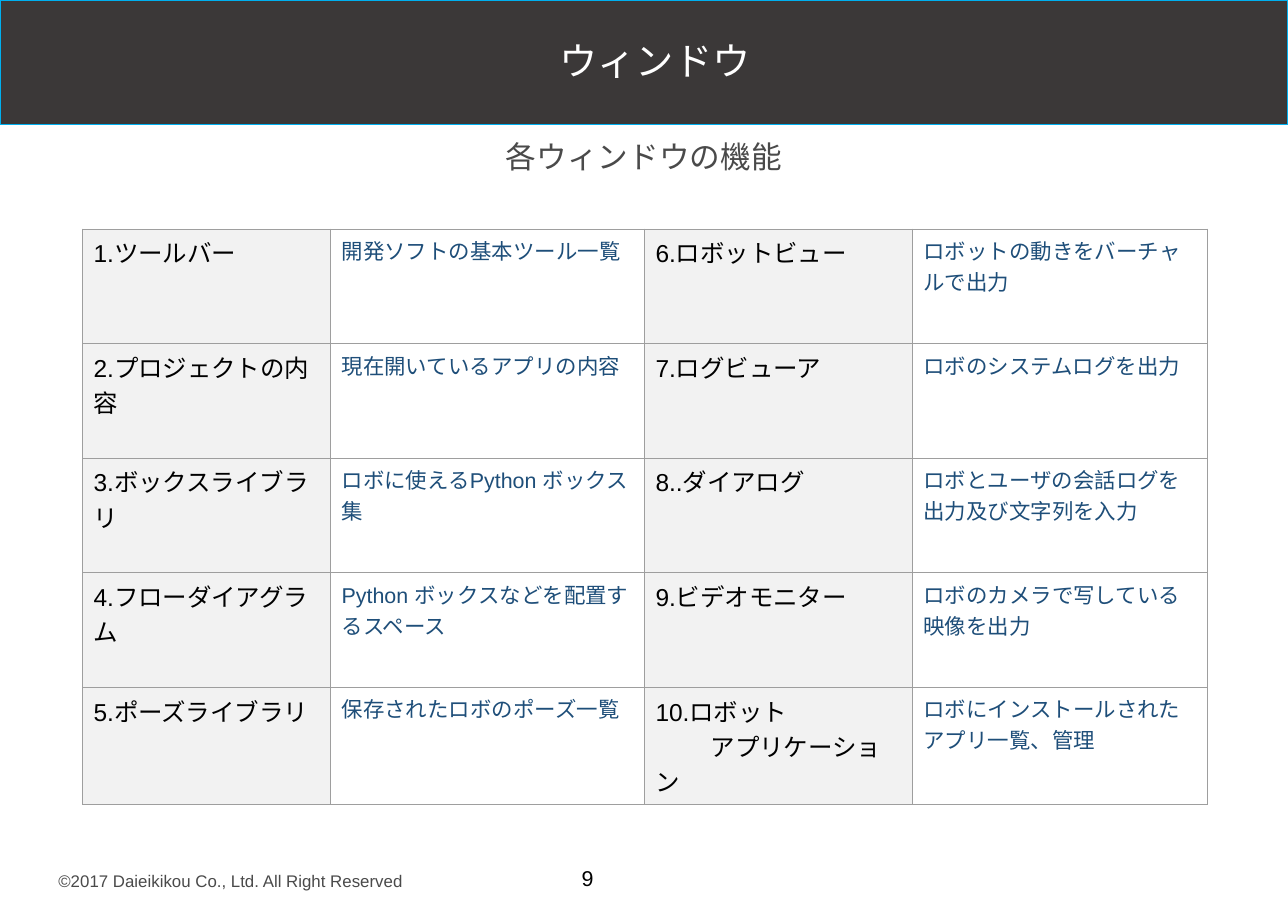
from lxml.etree import SubElement
from pptx import Presentation
from pptx.dml.color import RGBColor
from pptx.enum.shapes import MSO_SHAPE
from pptx.enum.text import MSO_ANCHOR, MSO_AUTO_SIZE, PP_ALIGN
from pptx.oxml import parse_xml
from pptx.oxml.ns import nsdecls, qn
from pptx.util import Pt

COLORS = {
    "band": "3B3838", "band_edge": "00B0F0", "white": "FFFFFF",
    "gray": "4A4A4A", "black": "000000", "blue": "1E4E79",
    "name_fill": "F2F2F2", "border": "9E9E9E",
}
LATIN = "Arial"
JAPANESE = "Noto Sans CJK JP"
SLIDE_SIZE = (841.68, 595.44)
COLUMN_WIDTHS = (162, 205.2, 174.96, 192.96)
ROW_HEIGHT = 74.88
SECOND_LINE_INDENT = 36
WINDOWS = [
    ("1.ツールバー", "開発ソフトの基本ツール一覧",
     "6.ロボットビュー", "ロボットの動きをバーチャルで出力"),
    ("2.プロジェクトの内容", "現在開いているアプリの内容",
     "7.ログビューア", "ロボのシステムログを出力"),
    ("3.ボックスライブラリ", "ロボに使えるPython ボックス集",
     "8..ダイアログ", "ロボとユーザの会話ログを出力及び文字列を入力"),
    ("4.フローダイアグラム", "Python ボックスなどを配置するスペース",
     "9.ビデオモニター", "ロボのカメラで写している映像を出力"),
    ("5.ポーズライブラリ", "保存されたロボのポーズ一覧",
     "10.ロボット\nアプリケーション", "ロボにインストールされたアプリ一覧、管理"),
]


def rgb(name):
    return RGBColor.from_string(COLORS[name])


def style_text(frame, size, color, latin=LATIN):
    for paragraph in frame.paragraphs:
        for run in paragraph.runs:
            run.font.size = Pt(size)
            run.font.color.rgb = rgb(color)
            run.font.name = latin
            SubElement(run.font._element, qn("a:ea"), typeface=JAPANESE)


def set_frame(frame, text, margin_x, margin_y, anchor):
    frame.text = text
    frame.word_wrap = True
    frame.auto_size = MSO_AUTO_SIZE.NONE
    frame.vertical_anchor = anchor
    frame.margin_left = frame.margin_right = Pt(margin_x)
    frame.margin_top = frame.margin_bottom = Pt(margin_y)


def add_label(slide, box, text, margin_x, margin_y, anchor=MSO_ANCHOR.MIDDLE):
    frame = slide.shapes.add_textbox(*map(Pt, box)).text_frame
    set_frame(frame, text, margin_x, margin_y, anchor)
    return frame


def add_header(slide, box):
    left, top, width, height = box
    band = slide.shapes.add_shape(MSO_SHAPE.RECTANGLE, *map(Pt, box))
    band.shadow.inherit = False
    band.fill.solid()
    band.fill.fore_color.rgb = rgb("band")
    band.line.color.rgb = rgb("band_edge")
    band.line.width = Pt(1)
    chapter = add_label(slide, (left + 54, top + 3, width - 106.56, height - 8),
                        "ウィンドウ", 7.2, 7.2)
    paragraph = chapter.paragraphs[0]
    paragraph.alignment = PP_ALIGN.CENTER
    indents = paragraph._p.get_or_add_pPr()
    indents.set("marL", str(Pt(17.28)))
    indents.set("indent", str(Pt(-4.32)))
    style_text(chapter, 25, "white", JAPANESE)


def place_title(slide, box):
    title = slide.shapes.title
    title.left, title.top, title.width, title.height = map(Pt, box)
    frame = title.text_frame
    set_frame(frame, "各ウィンドウの機能", 7.2, 7.2, MSO_ANCHOR.MIDDLE)
    frame.paragraphs[0].alignment = PP_ALIGN.CENTER
    frame.paragraphs[0].line_spacing = 0.9
    style_text(frame, 20, "gray", JAPANESE)


def add_borders(cell):
    properties = cell._tc.get_or_add_tcPr()
    for position, side in enumerate(("lnL", "lnR", "lnT", "lnB")):
        properties.insert(position, parse_xml(
            f'<a:{side} {nsdecls("a")} w="{Pt(0.75)}"><a:solidFill>'
            f'<a:srgbClr val="{COLORS["border"]}"/></a:solidFill></a:{side}>'))


def add_window_table(slide, left, top):
    table = slide.shapes.add_table(
        len(WINDOWS), len(COLUMN_WIDTHS), Pt(left), Pt(top),
        Pt(sum(COLUMN_WIDTHS)), Pt(ROW_HEIGHT * len(WINDOWS))).table
    table.first_row = False
    table.horz_banding = False
    for column, width in zip(table.columns, COLUMN_WIDTHS):
        column.width = Pt(width)
    for row, texts in zip(table.rows, WINDOWS):
        row.height = Pt(ROW_HEIGHT)
        for index, (cell, text) in enumerate(zip(row.cells, texts)):
            is_name = index % 2 == 0
            cell.text_frame.text = text
            cell.fill.solid()
            cell.fill.fore_color.rgb = rgb("name_fill" if is_name else "white")
            style_text(cell.text_frame, 16 if is_name else 14,
                       "black" if is_name else "blue")
            for paragraph in cell.text_frame.paragraphs[1:]:
                paragraph._p.get_or_add_pPr().set(
                    "indent", str(Pt(SECOND_LINE_INDENT)))
            add_borders(cell)


def add_footer(slide, box):
    left, top, width, height = box
    rights = add_label(slide, (left, top + 5.76, 313.92, height - 5.76),
                       "©2017 Daieikikou Co., Ltd. All Right Reserved",
                       5.04, 5.04, MSO_ANCHOR.TOP)
    style_text(rights, 11, "gray")
    page = add_label(slide, (left + 339.84, top, 97.2, 31.68), "9", 7.2, 3.6)
    style_text(page, 14, "black")


def main():
    deck = Presentation()
    deck.slide_width, deck.slide_height = map(Pt, SLIDE_SIZE)
    slide = deck.slides.add_slide(deck.slide_layouts[5])
    add_header(slide, (0, 0, SLIDE_SIZE[0], 81.36))
    place_title(slide, (136.8, 87.84, 568.08, 31.68))
    add_window_table(slide, 54, 149.76)
    add_footer(slide, (33.12, 558, 775, 37.44))
    deck.save("out.pptx")


if __name__ == "__main__":
    main()
